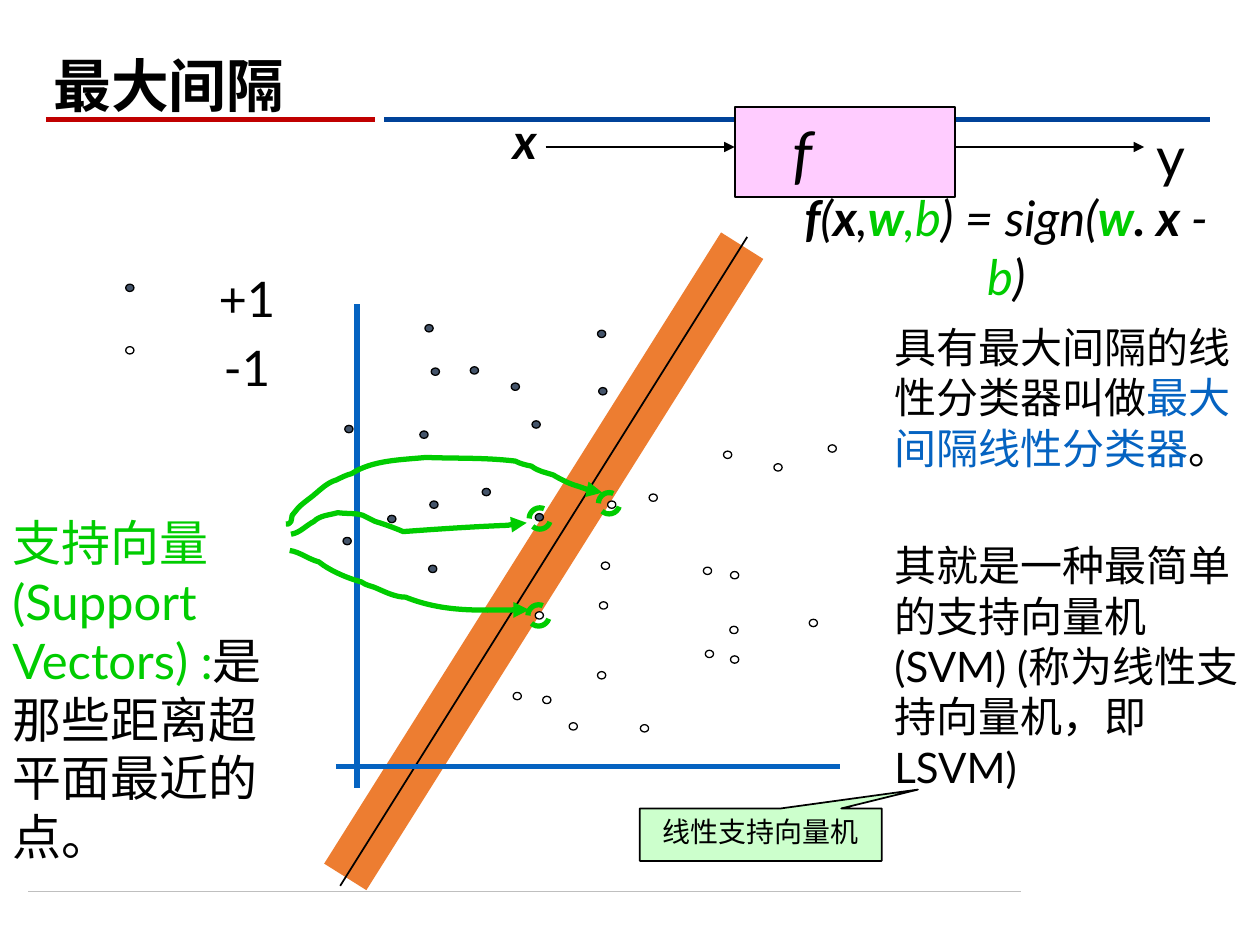
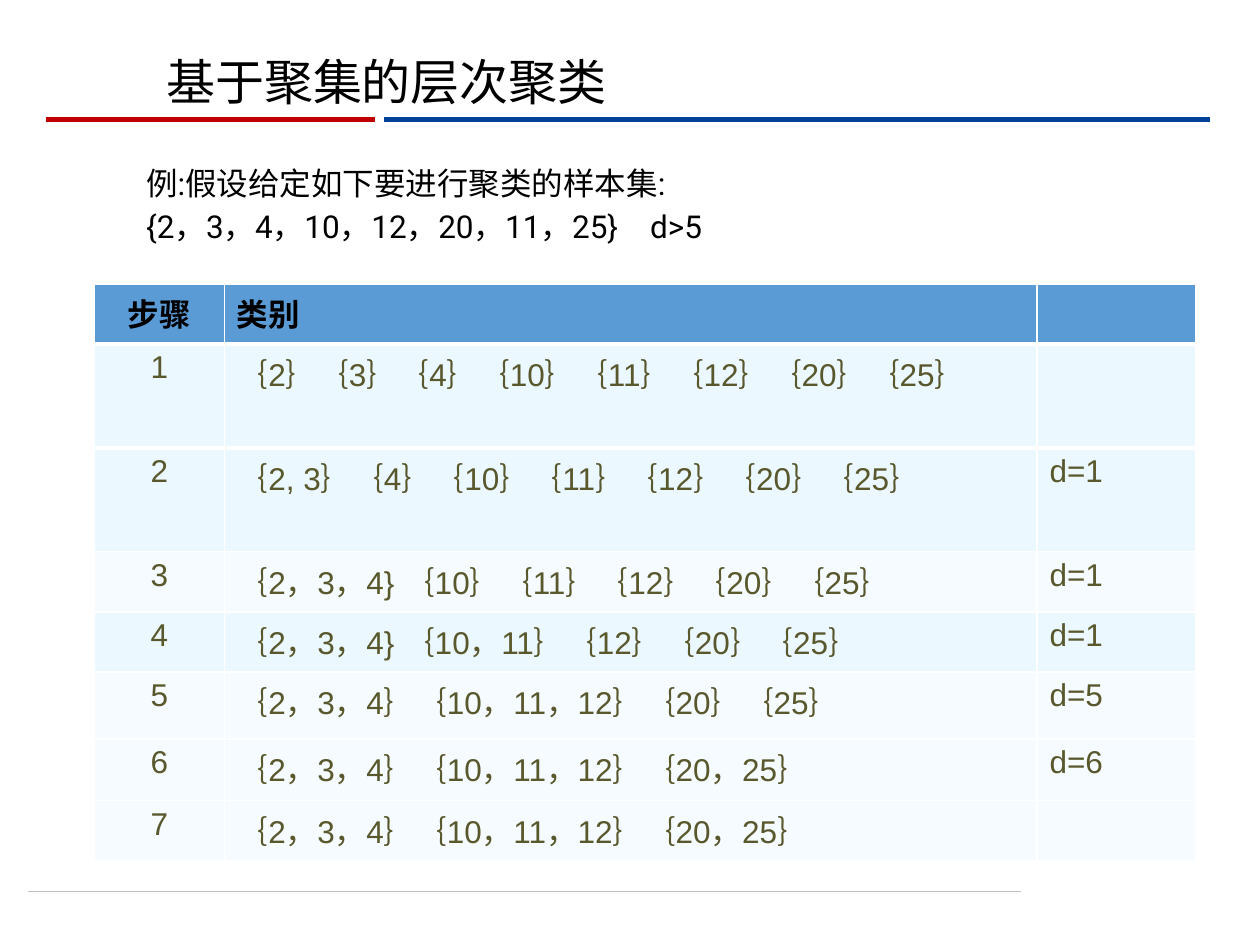
from pptx import Presentation
from pptx.dml.color import RGBColor
from pptx.enum import dml, shapes, text
from pptx.oxml import ns
from pptx.util import Pt
from lxml import etree

COLORS = {
    "black": "000000", "white": "FFFFFF", "gray": "BFBFBF", "navy": "004299",
    "red": "C00000", "orange": "ED7D31", "pink": "FFCCFF", "slate": "44546A",
    "blue": "0563C1", "green": "00CC00", "mint": "CCFFCC", "header": "5B9BD5",
    "olive": "59582D", "band": "ECF8FF", "pale": "F6FBFF",
}
LEFT, CENTER = text.PP_ALIGN.LEFT, text.PP_ALIGN.CENTER
TOP, MIDDLE, BOTTOM = (text.MSO_ANCHOR.TOP, text.MSO_ANCHOR.MIDDLE,
                       text.MSO_ANCHOR.BOTTOM)

FRAME_LINES = [
    ((16.2, 509.3), (583.5, 509.3), "gray", 0.5),
    ((219.6, 68.4), (691.5, 68.4), "navy", 3),
    ((26.3, 68.4), (214.2, 68.4), "red", 3),
]

MARGIN_TITLE = "最大间隔"
MARGIN_LINES = [
    ((197.3, 501.1), (424.1, 140.4), "orange", 28.5),
    ((194.4, 506.2), (427, 135.4), "black", 1),
    ((204, 174), (204, 450), "blue", 3),
    ((192, 438), (480, 438), "blue", 3),
]
FLOW_ARROWS = [((311.8, 84), (419.8, 84)), ((545.8, 84), (653.8, 84))]
POSITIVE_POINTS = [
    (74.2, 164.5), (198.4, 309.2), (344.5, 223.6), (271.1, 211.7),
    (308.2, 295.6), (242.3, 248.4), (248.8, 212.4), (248, 288.4),
    (306.4, 242.6), (247.3, 325.1), (343.8, 190.8), (245.2, 187.6),
    (277.9, 281.2), (223.9, 296.6), (294.5, 221), (199.4, 245.2),
]
NEGATIVE_POINTS = [
    (74.2, 200.2), (295.6, 397.8), (349.6, 288.4), (404.3, 326.2),
    (308.2, 351.7), (475.6, 256.3), (419.4, 360), (373.3, 284.4),
    (464.8, 356), (327.6, 415.1), (419.8, 328.7), (346, 323.3),
    (444.6, 267.1), (415.8, 259.9), (405.4, 373.7), (368.3, 416.2),
    (343.8, 385.9), (344.9, 346), (312.5, 400), (419.8, 376.9),
]
SUPPORT_VECTORS = [(348.1, 287.6), (308.5, 296.3), (307.8, 351.7)]
SUPPORT_ARROWS = [
    [(166.3, 305.3), (171.4, 304.6, 175, 300.2, 179.3, 298.1),
     (182.9, 294.5, 187.9, 294.5, 193, 293), (199.4, 293.8, 202.3, 293, 207.4, 294.5),
     (214.6, 298.1), (219.6, 299.5, 225.4, 301.7, 230.4, 303.8),
     (249.8, 302.4, 270, 301, 290.2, 300.2), (293.8, 299.5, 297.4, 298.8, 301, 298.8)],
    [(163.4, 299.5), (164.2, 299.5, 165.6, 299.5, 165.6, 298.8),
     (167, 298.1, 166.3, 295.9, 167, 294.5), (167.8, 293, 169.2, 292.3, 169.9, 290.9),
     (171.4, 288.7, 178.6, 283.7, 179.3, 283), (183.6, 279.4, 187.2, 275.8, 192.2, 274.3),
     (195.1, 272.9, 198, 271.4, 200.9, 270.7), (213.1, 262.8, 229.7, 262.8, 243.4, 261.4),
     (260.6, 262.1, 277.2, 261.4, 294.5, 263.5), (297.4, 265, 300.2, 265.7, 303.8, 266.4),
     (307.4, 269.3, 311.8, 270, 316.1, 271.4), (321.1, 274.3, 325.4, 276.5, 330.5, 277.9),
     (334.8, 279.4, 339.8, 281.5, 344.2, 281.5)],
    [(165.6, 314.6), (171.4, 315.4, 176.4, 319.7, 182.2, 321.1),
     (188.6, 326.2, 198.7, 330.5, 206.6, 332.6), (209.5, 334.8, 212.4, 334.8, 215.3, 336.2),
     (220.3, 338.4, 226.1, 341.3, 231.8, 341.3), (253.4, 349.9, 279.4, 348.5, 302.4, 348.5)],
]
LABELS = [
    {"box": (275.8, 59.8, 48.2, 41), "size": 28, "align": CENTER,
     "paragraphs": [[("x", "black", "bi")]]},
    {"box": (653.8, 66.2, 66.2, 45.4), "size": 32,
     "paragraphs": [[("y", "black", "")]]},
    {"box": (66.2, 149.8, 149.8, 67), "size": 28, "align": CENTER, "gap": 6,
     "paragraphs": [[("+1", "black", "")], [("-1", "black", "")]]},
    {"box": (449, 103.7, 252, 31), "size": 28, "align": CENTER,
     "paragraphs": [[
         ("f", "black", "bi"), ("(", "black", "i"), ("x", "black", "bi"),
         (",", "black", "i"), ("w", "green", "bi"), (",b", "green", "i"),
         (") = sign(", "black", "i"), ("w", "green", "bi"),
         (". x ", "black", "bi"), ("- ", "black", "i"), ("b", "green", "i"),
         (")", "black", "i")]]},
    {"box": (0, 289.4, 180.7, 103), "size": 28,
     "paragraphs": [[("支持向量(Support Vectors) :", "green", ""),
                     ("是那些距离超平面最近的点。", "black", "")]]},
    {"box": (504, 180, 216, 265.7), "size": 24, "gap": 38.4,
     "paragraphs": [
         [("具有最大间隔的线性分类器叫做", "black", ""),
          ("最大间隔线性分类器", "blue", ""), ("。", "black", "")],
         [("其就是一种最简单的支持向量机(SVM) (称为线性支持向量机，即LSVM)",
           "black", "")]]},
]
CALLOUT = "线性支持向量机"

CLUSTER_TITLE = "基于聚集的层次聚类"
EXAMPLE = ["例:假设给定如下要进行聚类的样本集:",
           "{2，3，4，10，12，20，11，25}\td>5"]
COLUMN_WIDTHS = [74.2, 464.4, 90.7]
CLUSTER_ROWS = [
    ("步骤", "类别", "", "header", 34.4),
    ("1", "｛2｝｛3｝｛4｝｛10｝｛11｝｛12｝｛20｝｛25｝", "", "band", 34.4),
    ("2", "｛2, 3｝｛4｝｛10｝｛11｝｛12｝｛20｝｛25｝", "d=1", "band", 34.4),
    ("3", "｛2，3，4} ｛10｝｛11｝｛12｝｛20｝｛25｝", "d=1", "pale", 34.4),
    ("4", "｛2，3，4} ｛10，11｝｛12｝｛20｝｛25｝", "d=1", "band", 34.4),
    ("5", "｛2，3，4｝｛10，11，12｝｛20｝｛25｝", "d=5", "pale", 38.2),
    ("6", "｛2，3，4｝｛10，11，12｝｛20，25｝", "d=6", "pale", 35.3),
    ("7", "｛2，3，4｝｛10，11，12｝｛20，25｝", "", "pale", 34.4),
]


def rgb(name):
    return RGBColor.from_string(COLORS[name])


def add_run(paragraph, words, size, font="Lato", color="black", style=""):
    run = paragraph.add_run()
    run.text = words
    run.font.name = font
    run.font.size = Pt(size)
    run.font.bold = "b" in style
    run.font.italic = "i" in style
    run.font.color.rgb = rgb(color)


def place(shape, left, top, width, height):
    shape.left, shape.top = Pt(left), Pt(top)
    shape.width, shape.height = Pt(width), Pt(height)


def set_line(shape, color, width, arrow=False):
    shape.line.color.rgb = rgb(color)
    shape.line.width = Pt(width)
    if arrow:
        outline = shape._element.spPr.find(ns.qn("a:ln"))
        etree.SubElement(outline, ns.qn("a:tailEnd"), type="triangle")


def add_line(slide, start, end, color, width, arrow=False):
    line = slide.shapes.add_connector(
        shapes.MSO_CONNECTOR.STRAIGHT, *map(Pt, start + end))
    set_line(line, color, width, arrow)
    etree.SubElement(line._element.spPr, ns.qn("a:effectLst"))
    return line


def add_preset(slide, kind, box, fill, color="black", width=1):
    shape = slide.shapes.add_shape(kind, *map(Pt, box))
    shape.shadow.inherit = False
    if fill:
        shape.fill.solid()
        shape.fill.fore_color.rgb = rgb(fill)
    else:
        shape.fill.background()
    set_line(shape, color, width)
    return shape


def add_circle(slide, center, width, height, *style):
    box = (center[0] - width / 2, center[1] - height / 2, width, height)
    return add_preset(slide, shapes.MSO_SHAPE.OVAL, box, *style)


def add_label(slide, box, size, paragraphs, align=LEFT, gap=0):
    frame = slide.shapes.add_textbox(*map(Pt, box)).text_frame
    frame.word_wrap = True
    for index, runs in enumerate(paragraphs):
        paragraph = frame.add_paragraph() if index else frame.paragraphs[0]
        paragraph.alignment = align
        if index:
            paragraph.space_before = Pt(gap)
        for words, color, style in runs:
            add_run(paragraph, words, size, color=color, style=style)


def add_curve(slide, start, *segments):
    builder = slide.shapes.build_freeform(*map(Pt, start))
    builder.add_line_segments(
        [tuple(map(Pt, segment[-2:])) for segment in segments], close=False)
    curve = builder.convert_to_shape()
    curve.shadow.inherit = False
    curve.fill.background()
    set_line(curve, "green", 3, arrow=True)
    steps = list(curve._element.spPr.iter(ns.qn("a:lnTo")))
    for step, segment in zip(steps, segments):
        if len(segment) == 6:
            step.clear()
            bezier = etree.Element(ns.qn("a:cubicBezTo"))
            for x, y in zip(segment[::2], segment[1::2]):
                etree.SubElement(bezier, ns.qn("a:pt"), x=str(Pt(x) - curve.left),
                                 y=str(Pt(y) - curve.top))
            step.getparent().replace(step, bezier)


def start_slide(presentation, layout, title, box, size, font, style, anchor):
    slide = presentation.slides.add_slide(presentation.slide_layouts[layout])
    place(slide.shapes.title, *box)
    frame = slide.shapes.title.text_frame
    frame.auto_size = text.MSO_AUTO_SIZE.NONE
    frame.vertical_anchor = anchor
    paragraph = frame.paragraphs[0]
    paragraph.alignment = LEFT
    paragraph.line_spacing = 0.9 if anchor == BOTTOM else 1.0
    add_run(paragraph, title, size, font, style=style)
    return slide


def build_margin_slide(presentation):
    slide = start_slide(presentation, 5, MARGIN_TITLE, (23.3, 18, 365.8, 54),
                        33, "Roboto", "b", BOTTOM)
    for line in FRAME_LINES:
        frame_line = add_line(slide, *line)
        presentation.slide_master.shapes._spTree.append(frame_line._element)
    for line in MARGIN_LINES:
        add_line(slide, *line)
    function_box = add_preset(slide, shapes.MSO_SHAPE.RECTANGLE,
                              (419.8, 61.2, 126, 51.6), "pink")
    frame = function_box.text_frame
    frame.vertical_anchor = MIDDLE
    frame.margin_right = Pt(55)
    frame.paragraphs[0].alignment = CENTER
    add_run(frame.paragraphs[0], "f", 36, style="i")
    for start, end in FLOW_ARROWS:
        add_line(slide, start, end, "black", 1, arrow=True)
    for points, fill in ((POSITIVE_POINTS, "slate"), (NEGATIVE_POINTS, "white")):
        for center in points:
            add_circle(slide, center, 4.7, 4.2, fill, "black", 0.75)
    for label in LABELS:
        add_label(slide, **label)
    for curve in SUPPORT_ARROWS:
        add_curve(slide, *curve)
    for center in SUPPORT_VECTORS:
        ring = add_circle(slide, center, 12.2, 12.2, None, "green", 3)
        ring.line.dash_style = dml.MSO_LINE.DASH
    callout = add_preset(slide, shapes.MSO_SHAPE.RECTANGULAR_CALLOUT,
                         (365.6, 462, 138.2, 30), "mint")
    callout.adjustments[0], callout.adjustments[1] = 0.65, -0.86
    callout.text_frame.vertical_anchor = TOP
    callout.text_frame.paragraphs[0].alignment = CENTER
    add_run(callout.text_frame.paragraphs[0], CALLOUT, 16)


def add_thick_edge(cell, side):
    edge = etree.Element(ns.qn(side), w=str(Pt(3)))
    fill = etree.SubElement(edge, ns.qn("a:solidFill"))
    etree.SubElement(fill, ns.qn("a:srgbClr"), val=COLORS["white"])
    cell._tc.get_or_add_tcPr().insert(0, edge)


def build_cluster_slide(presentation):
    slide = start_slide(presentation, 1, CLUSTER_TITLE, (87.8, 25.9, 266.4, 41),
                        28, "Noto Sans CJK SC", "", TOP)
    body = slide.placeholders[1]
    place(body, 76.3, 94.3, 620.6, 63.4)
    frame = body.text_frame
    frame.auto_size = text.MSO_AUTO_SIZE.NONE
    for index, words in enumerate(EXAMPLE):
        paragraph = frame.add_paragraph() if index else frame.paragraphs[0]
        properties = paragraph._element.get_or_add_pPr()
        properties.set("marL", "0")
        properties.set("indent", "0")
        etree.SubElement(properties, ns.qn("a:buNone"))
        tabs = etree.SubElement(properties, ns.qn("a:tabLst"))
        etree.SubElement(tabs, ns.qn("a:tab"), pos=str(Pt(371.8)), algn="l")
        paragraph.line_spacing = 0.8
        paragraph.space_before = Pt(7.5 if index else 0)
        add_run(paragraph, words, 18, "Roboto")

    table = slide.shapes.add_table(
        len(CLUSTER_ROWS), len(COLUMN_WIDTHS), Pt(54), Pt(162.2),
        Pt(sum(COLUMN_WIDTHS)), Pt(sum(row[-1] for row in CLUSTER_ROWS))).table
    for column, width in zip(table.columns, COLUMN_WIDTHS):
        column.width = Pt(width)
    for row_index, (*cells, fill, height) in enumerate(CLUSTER_ROWS):
        table.rows[row_index].height = Pt(height)
        color, style = ("olive", "") if row_index else ("black", "b")
        for column_index, words in enumerate(cells):
            cell = table.cell(row_index, column_index)
            cell.fill.solid()
            cell.fill.fore_color.rgb = rgb(fill)
            if row_index < 2:
                add_thick_edge(cell, "a:lnT" if row_index else "a:lnB")
            paragraph = cell.text_frame.paragraphs[0]
            paragraph.alignment = LEFT if column_index else CENTER
            if words:
                add_run(paragraph, words, 18, "Arial", color, style)


def main():
    presentation = Presentation()
    presentation.slide_width, presentation.slide_height = Pt(720), Pt(540)
    build_margin_slide(presentation)
    build_cluster_slide(presentation)
    presentation.save("out.pptx")


if __name__ == "__main__":
    main()
